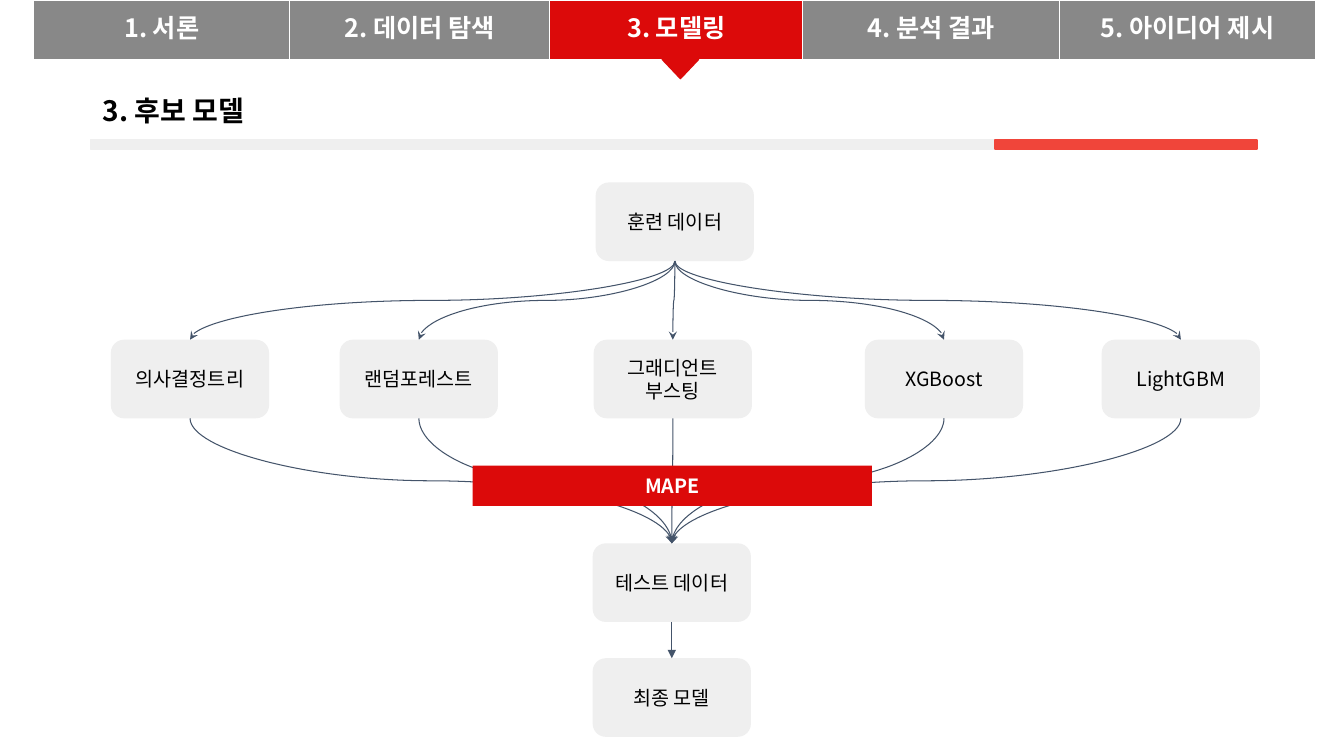
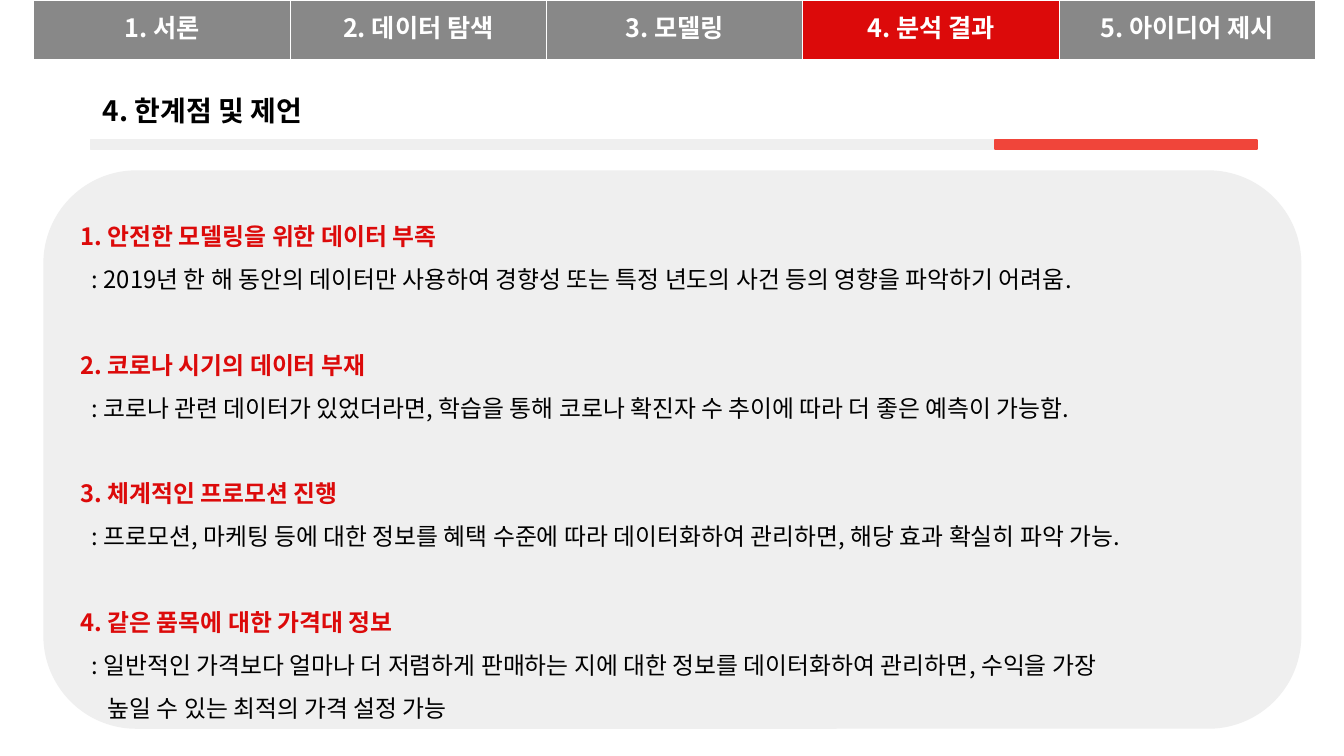
import lxml.etree
import pptx
import pptx.dml.color
import pptx.enum.shapes
import pptx.enum.text
import pptx.oxml.ns
import pptx.util

RGB = pptx.dml.color.RGBColor
SHAPE = pptx.enum.shapes.MSO_SHAPE
LINK = pptx.enum.shapes.MSO_CONNECTOR
ANCHOR = pptx.enum.text.MSO_ANCHOR
ALIGN = pptx.enum.text.PP_ALIGN
Pt = pptx.util.Pt
qn = pptx.oxml.ns.qn

WHITE = RGB(0xFF, 0xFF, 0xFF)
BLACK = RGB(0x00, 0x00, 0x00)
PALE = RGB(0xEF, 0xEF, 0xEF)
GRAY = RGB(0x88, 0x88, 0x88)
RED = RGB(0xDC, 0x0A, 0x0A)
CORAL = RGB(0xF0, 0x45, 0x3A)
SLATE = RGB(0x44, 0x54, 0x6A)

FONT = "Noto Sans CJK KR"
CELL = pptx.util.Inches(0.1)
COLS, ROWS = 133.33, 75
BOX_W, BOX_H = 15.7, 7.8
LEADING = 1.18
BODY_PITCH = Pt(30.6)
TOP, BOTTOM = 0, 2

MARGINS = dict.fromkeys(
    ("margin_left", "margin_right", "margin_top", "margin_bottom"), CELL)
FRAME = {**MARGINS, "word_wrap": True, "vertical_anchor": ANCHOR.MIDDLE}
TITLE_FRAME = {**FRAME, "margin_top": CELL // 2, "margin_bottom": CELL // 2,
               "vertical_anchor": ANCHOR.TOP,
               "auto_size": pptx.enum.text.MSO_AUTO_SIZE.NONE}

TABS = ["1. 서론", "2. 데이터 탐색", "3. 모델링", "4. 분석 결과", "5. 아이디어 제시"]
MODELS = [(11, "의사결정트리"), (33.7, "랜덤포레스트"), (58.9, "그래디언트 부스팅"),
          (85.8, "XGBoost"), (109.3, "LightGBM")]
LIMITS = [
    ("1. 안전한 모델링을 위한 데이터 부족",
     ": 2019년 한 해 동안의 데이터만 사용하여 경향성 또는 특정 년도의 사건 등의 영향을 파악하기 어려움."),
    ("2. 코로나 시기의 데이터 부재",
     ": 코로나 관련 데이터가 있었더라면, 학습을 통해 코로나 확진자 수 추이에 따라 더 좋은 예측이 가능함."),
    ("3. 체계적인 프로모션 진행",
     ": 프로모션, 마케팅 등에 대한 정보를 혜택 수준에 따라 데이터화하여 관리하면, 해당 효과 확실히 파악 가능."),
    ("4. 같은 품목에 대한 가격대 정보",
     ": 일반적인 가격보다 얼마나 더 저렴하게 판매하는 지에 대한 정보를 데이터화하여 관리하면, 수익을 가장\n"
     "높일 수 있는 최적의 가격 설정 가능"),
]


def grid(*cells):
    """Turn grid cells into slide lengths."""
    return [int(n * CELL) for n in cells]


def apply(obj, values):
    """Set each named attribute of an object."""
    for name, value in values.items():
        setattr(obj, name, value)


def write(p, text, size, color=BLACK, bold=False, align=ALIGN.CENTER, **spacing):
    """Fill a paragraph with text in the shared font."""
    apply(p, {"alignment": align, "line_spacing": Pt(round(size * LEADING, 1)), **spacing})
    for i, line in enumerate(text.split("\n")):
        if i:
            p.add_line_break()
        r = p.add_run()
        r.text = line
        r.font.color.rgb = color
        apply(r.font, {"name": FONT, "size": Pt(size), "bold": bold})
        lxml.etree.SubElement(r.font._element, qn("a:ea"), typeface=FONT)


def add_block(s, kind, at, fill, text="", outline=False, **style):
    """Add a filled preset shape with optional centred text."""
    sp = s.shapes.add_shape(kind, *grid(*at))
    sp.shadow.inherit = False
    sp.fill.solid()
    sp.fill.fore_color.rgb = fill
    if outline:
        sp.line.color.rgb = fill
        sp.line.width = Pt(1)
    else:
        sp.line.fill.background()
    apply(sp.text_frame, FRAME)
    if text:
        write(sp.text_frame.paragraphs[0], text, 14, **style)
    return sp


def add_box(s, left, top, text):
    """Add one rounded step of the flow."""
    return add_block(s, SHAPE.ROUNDED_RECTANGLE, (left, top, BOX_W, BOX_H), PALE, text)


def add_arrow(s, upper, lower, kind=LINK.CURVE, head="stealth"):
    """Join the bottom of one box to the top of another."""
    c = s.shapes.add_connector(kind, 0, 0, 0, 0)
    c.begin_connect(upper, BOTTOM)
    c.end_connect(lower, TOP)
    c.line.color.rgb = SLATE
    c.line.width = Pt(0.75)
    spPr = c._element.spPr
    lxml.etree.SubElement(spPr.find(qn("a:ln")), qn("a:tailEnd"), type=head)
    lxml.etree.SubElement(spPr, qn("a:effectLst"))
    if kind == LINK.CURVE:
        dx, dy = c.end_x - c.begin_x, c.end_y - c.begin_y
        mid_x, mid_y = (c.begin_x + c.end_x) // 2, (c.begin_y + c.end_y) // 2
        apply(c, {"left": mid_x - dy // 2, "top": mid_y - abs(dx) // 2,
                  "width": dy, "height": abs(dx)})
        xfrm = spPr.find(qn("a:xfrm"))
        xfrm.set("rot", str((270 if dx > 0 else 90) * 60000))
        xfrm.set("flipH", "1" if dx > 0 else "0")


def add_border(cell):
    """Give a table cell thin white edges."""
    tcPr = cell._tc.get_or_add_tcPr()
    for i, edge in enumerate(("a:lnL", "a:lnR", "a:lnT", "a:lnB")):
        ln = lxml.etree.Element(qn(edge), w=str(Pt(0.75)))
        fill = lxml.etree.SubElement(ln, qn("a:solidFill"))
        lxml.etree.SubElement(fill, qn("a:srgbClr"), val=str(WHITE))
        tcPr.insert(i, ln)


def add_tabs(s, active, widths):
    """Add the section bar with one tab highlighted."""
    tbl = s.shapes.add_table(1, len(TABS), *grid(3.35, 0, sum(widths), 5.9)).table
    for i, (text, width) in enumerate(zip(TABS, widths)):
        tbl.columns[i].width = grid(width)[0]
        cell = tbl.cell(0, i)
        apply(cell, {**MARGINS, "vertical_anchor": ANCHOR.MIDDLE})
        cell.fill.solid()
        cell.fill.fore_color.rgb = RED if i == active else GRAY
        add_border(cell)
        write(cell.text_frame.paragraphs[0], text, 18, WHITE, True)


def add_page(prs, title, active, widths):
    """Start a slide with its title, rule and section bar."""
    s = prs.slides.add_slide(prs.slide_layouts[5])
    sp = s.shapes.title
    apply(sp, dict(zip(("left", "top", "width", "height"), grid(9.2, 8.8, 115.4, 5))))
    apply(sp.text_frame, TITLE_FRAME)
    write(sp.text_frame.paragraphs[0], title, 20, bold=True, align=ALIGN.LEFT)
    add_block(s, SHAPE.RECTANGLE, (9, 13.9, 89.7, 0.9), PALE, outline=True)
    add_block(s, SHAPE.RECTANGLE, (98.7, 13.9, 26, 0.9), CORAL, outline=True)
    add_tabs(s, active, widths)
    return s


def add_models(prs):
    """Build the slide that compares candidate models."""
    s = add_page(prs, "3. 후보 모델", 2, [25.4, 25.8, 25.1, 25.45, 25.4])
    add_block(s, SHAPE.ISOSCELES_TRIANGLE, (65.7, 5.9, 3.6, 1.9), RED,
              outline=True).rotation = 180
    train = add_box(s, 59.1, 18.1, "훈련 데이터")
    models = [add_box(s, left, 33.7, name) for left, name in MODELS]
    test = add_box(s, 58.8, 53.9, "테스트 데이터")
    final = add_box(s, 58.8, 65.3, "최종 모델")
    for model in models:
        add_arrow(s, train, model)
        add_arrow(s, model, test)
    add_arrow(s, test, final, LINK.STRAIGHT, "triangle")
    add_block(s, SHAPE.RECTANGLE, (46.9, 46.2, 39.6, 4), RED, "MAPE",
              color=WHITE, bold=True)


def add_limits(prs):
    """Build the slide of limits and suggestions."""
    s = add_page(prs, "4. 한계점 및 제언", 3, [25.43] * len(TABS))
    tf = add_block(s, SHAPE.ROUNDED_RECTANGLE, (4.3, 16.9, 124.8, 55.4), PALE).text_frame
    tf.vertical_anchor = ANCHOR.TOP
    hang, back = grid(2.7, -1.6)
    for i, (heading, detail) in enumerate(LIMITS):
        p = tf.add_paragraph() if i else tf.paragraphs[0]
        write(p, heading, 17, RED, True, ALIGN.LEFT, line_spacing=BODY_PITCH,
              space_before=BODY_PITCH if i else Pt(0))
        p = tf.add_paragraph()
        write(p, detail, 17, align=ALIGN.LEFT, line_spacing=BODY_PITCH)
        pPr = p._p.get_or_add_pPr()
        pPr.set("marL", str(hang))
        pPr.set("indent", str(back))


def main():
    """Build and save the deck."""
    prs = pptx.Presentation()
    prs.slide_width, prs.slide_height = grid(COLS, ROWS)
    add_models(prs)
    add_limits(prs)
    prs.save("out.pptx")


if __name__ == "__main__":
    main()
